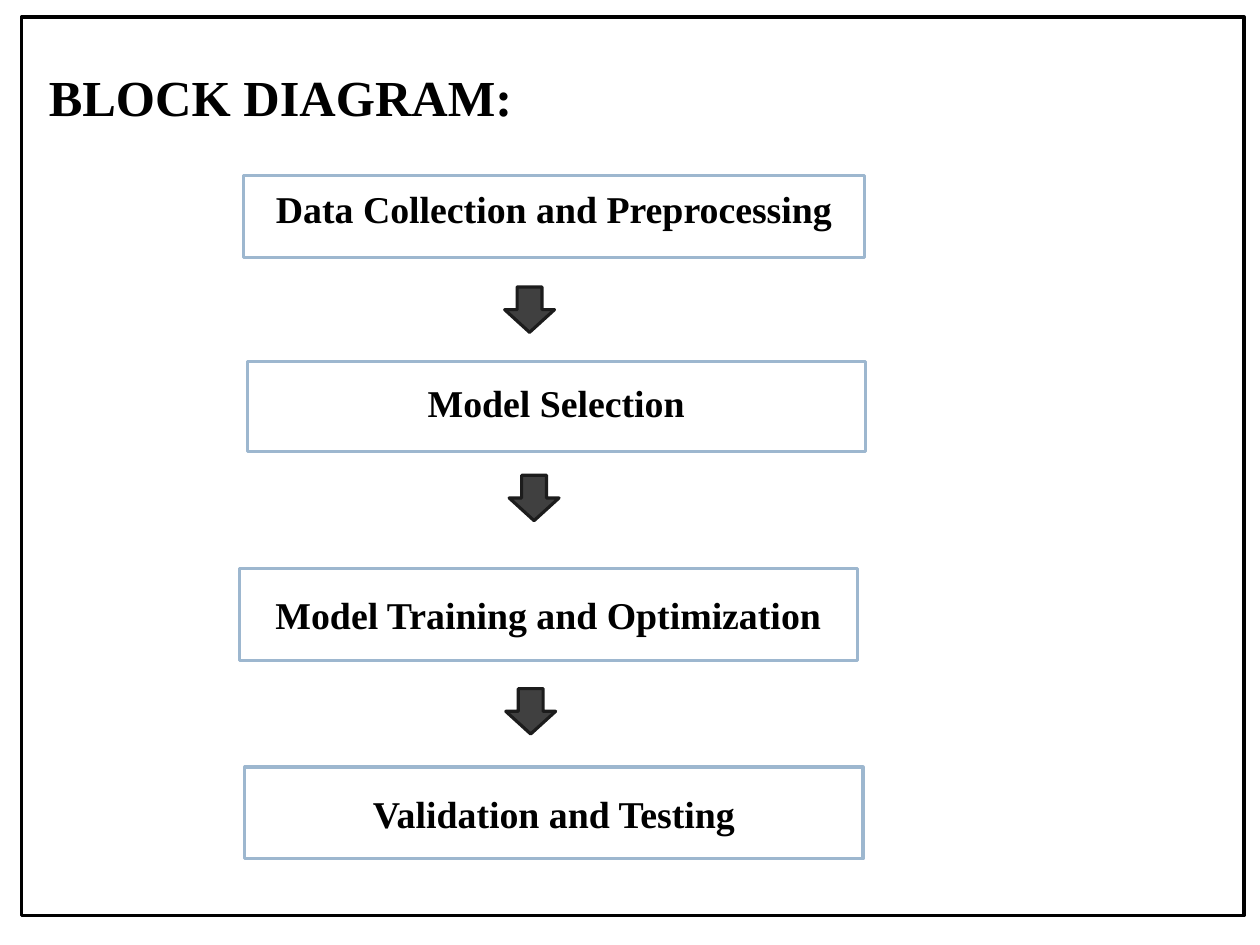
import pptx
import pptx.util
import pptx.dml.color
import pptx.enum.shapes
import pptx.enum.text

THEME = {
    "font": "Times New Roman", "title": 32, "label": 24,
    "ink": "000000", "paper": "FFFFFF", "box_line": "9DB7CF",
    "arrow": "404040", "arrow_line": "1C1C1C",
}
SHAPE = pptx.enum.shapes.MSO_SHAPE
ALIGN = pptx.enum.text.PP_ALIGN
ANCHOR = pptx.enum.text.MSO_ANCHOR

prs = pptx.Presentation()
prs.slide_width = pptx.util.Inches(11.11)
prs.slide_height = pptx.util.Inches(8.33)
UNIT = prs.slide_width / 100  # square grid, 100 columns across the slide
s = prs.slides.add_slide(prs.slide_layouts[5])


def write(sp, text, size, align, anchor, inset=0.9, lift=0):
    tf = sp.text_frame
    tf.word_wrap = True
    tf.auto_size = pptx.enum.text.MSO_AUTO_SIZE.NONE
    tf.vertical_anchor = anchor
    tf.margin_left = tf.margin_right = int(0.9 * UNIT)
    tf.margin_top = int(inset * UNIT)
    tf.margin_bottom = int((inset + lift) * UNIT)
    p = tf.paragraphs[0]
    p.alignment = align
    r = p.add_run()
    r.text = text
    r.font.name = THEME["font"]
    r.font.size = pptx.util.Pt(size)
    r.font.bold = True
    r.font.color.rgb = pptx.dml.color.RGBColor.from_string(THEME["ink"])


def draw(kind, cells, line, width, fill=None):
    sp = s.shapes.add_shape(kind, *(int(c * UNIT) for c in cells))
    sp.shadow.inherit = False
    sp.line.color.rgb = pptx.dml.color.RGBColor.from_string(line)
    sp.line.width = pptx.util.Pt(width)
    if fill:
        sp.fill.solid()
        sp.fill.fore_color.rgb = pptx.dml.color.RGBColor.from_string(fill)
    else:
        sp.fill.background()
    return sp


# Page frame
draw(SHAPE.RECTANGLE, (1.71, 1.35, 97.03, 71.29), THEME["ink"], 2.25)

# Title
title = s.shapes.title
title.left, title.top, title.width, title.height = (
    int(c * UNIT) for c in (2.97, 4.32, 93.97, 9))
write(title, "BLOCK DIAGRAM:", THEME["title"], ALIGN.LEFT, ANCHOR.TOP)

# Steps: label, box cells, upward shift of the label
steps = [
    ("Data Collection and Preprocessing", (19.35, 13.95, 49.24, 6.48), 1.26),
    ("Model Selection", (19.62, 28.71, 49.05, 7.11), 0.63),
    ("Model Training and Optimization", (18.99, 45.1, 49.05, 7.29), 0),
    ("Validation and Testing", (19.44, 60.85, 49.05, 7.29), 0),
]
for label, cells, lift in steps:
    sp = draw(SHAPE.RECTANGLE, cells, THEME["box_line"], 2, THEME["paper"])
    write(sp, label, THEME["label"], ALIGN.CENTER, ANCHOR.MIDDLE,
          inset=0.45, lift=lift)

# Arrows between the steps
for col, row in [(40.05, 22.77), (40.41, 37.71), (40.14, 54.64)]:
    draw(SHAPE.DOWN_ARROW, (col, row, 3.96, 3.6),
         THEME["arrow_line"], 2, THEME["arrow"])

prs.save("out.pptx")
